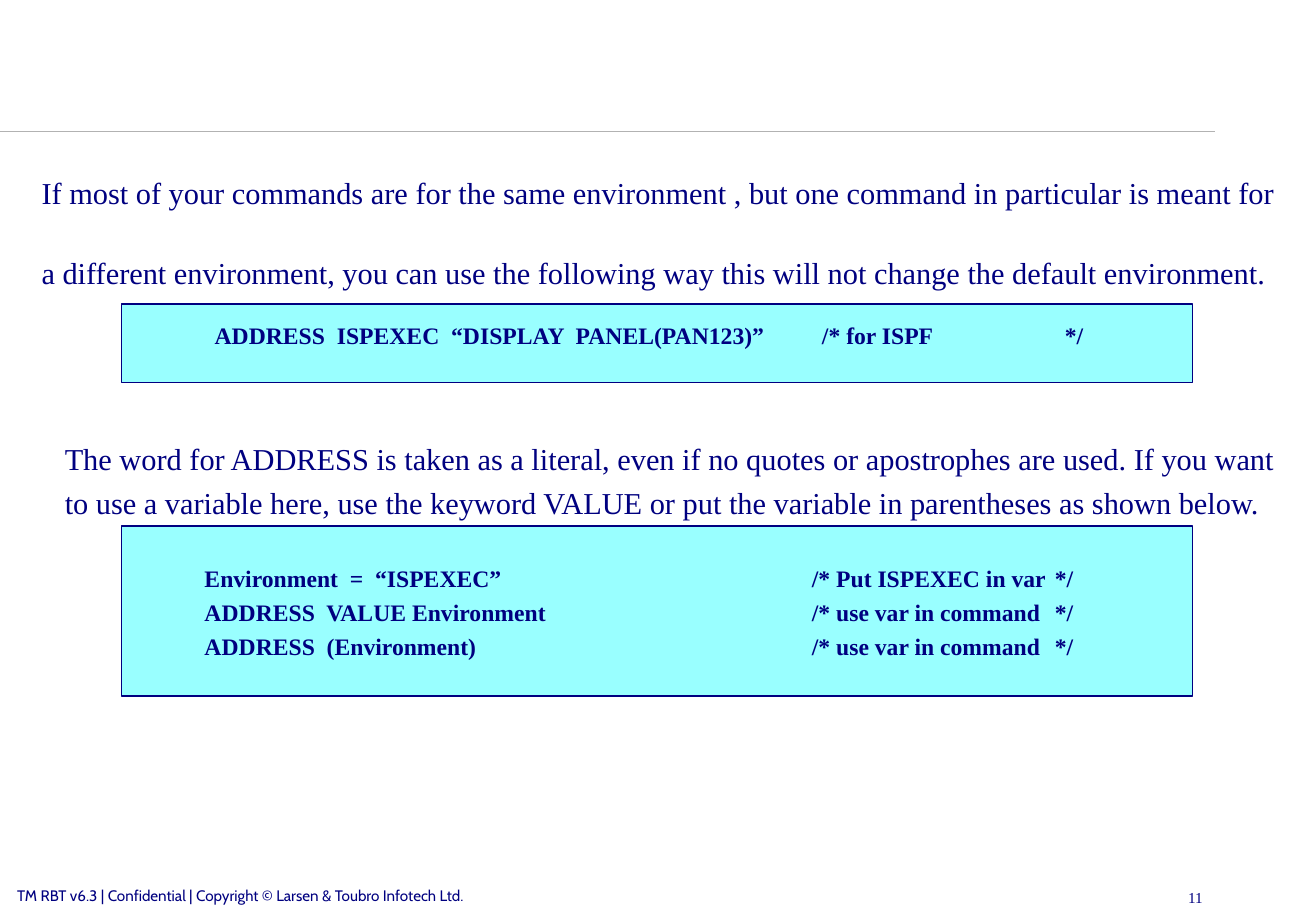
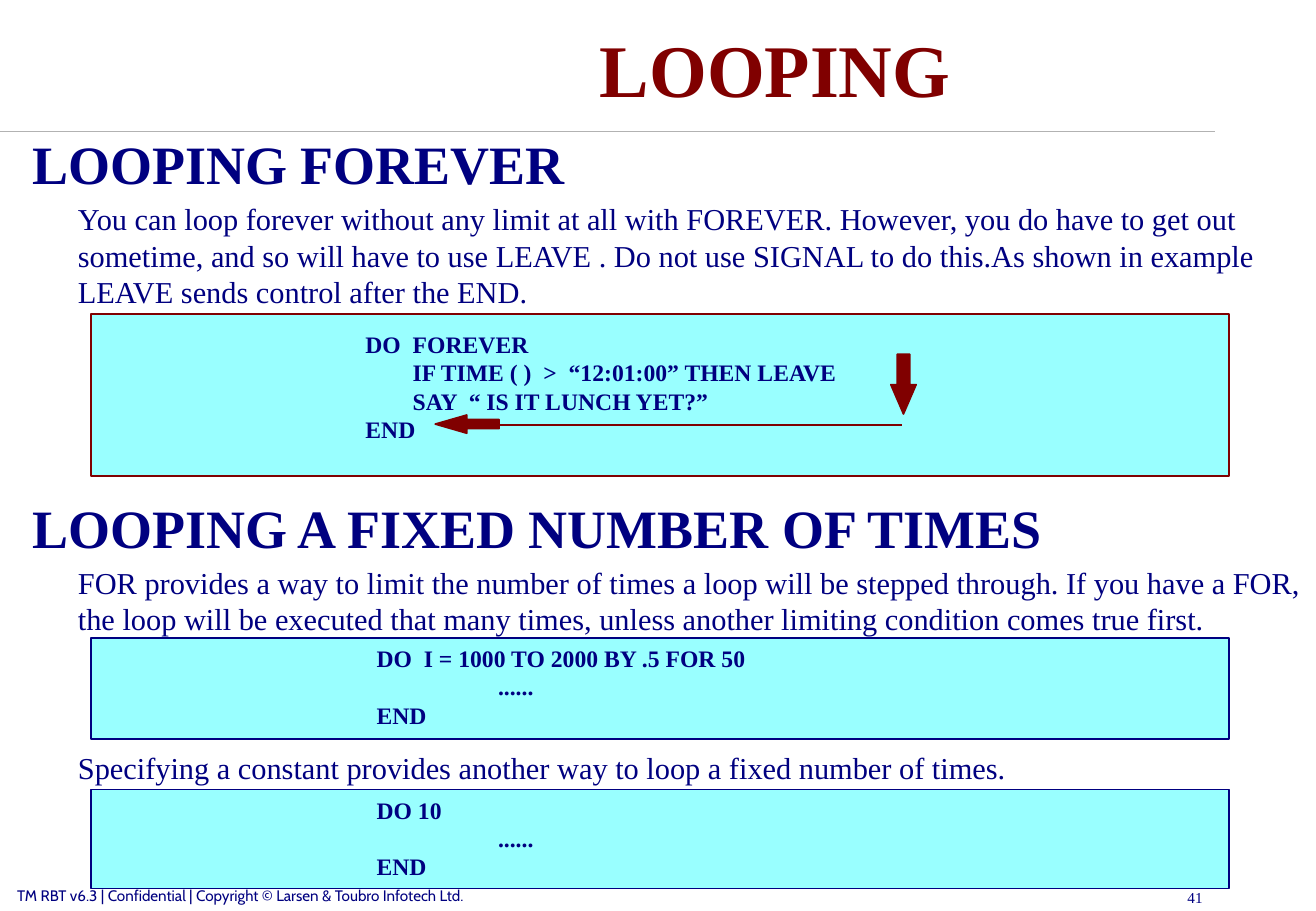
from lxml import etree
from pptx import Presentation, util as u
from pptx.dml.color import RGBColor
from pptx.enum import shapes, text
from pptx.oxml.ns import qn

NAVY = RGBColor(0x00, 0x00, 0x80)
MAROON = RGBColor(0x80, 0x00, 0x00)
AQUA = RGBColor(0x99, 0xFF, 0xFF)
GRAY = RGBColor(0xB2, 0xB2, 0xB2)
SCALE = 7620
INCH = 120
SERIF = "Times New Roman"
LEADING = 1.2
FOOTER = "TM RBT v6.3 | Confidential | Copyright © Larsen & Toubro Infotech Ltd."


def px(*nums):
    return [u.Emu(num * SCALE) for num in nums]


class Deck:
    base = {"name": SERIF, "size": 18, "bold": False, "color": NAVY}

    def __init__(self):
        self.prs = Presentation()
        self.prs.slide_width, self.prs.slide_height = px(1300, 900)

    def page(self, number):
        self.slide = self.prs.slides.add_slide(self.prs.slide_layouts[6])
        self.line(0, 130, 1200, 130, GRAY)
        self.label(17, 876, 541, [FOOTER], size=9, name="Cabin")
        self.label(920, 878, 268, [number], text.PP_ALIGN.RIGHT, size=9)

    def line(self, x1, y1, x2, y2, color):
        rule = self.slide.shapes.add_connector(
            shapes.MSO_CONNECTOR.STRAIGHT, *px(x1, y1, x2, y2))
        rule.line.color.rgb = color
        rule.line.width = u.Pt(1)
        etree.SubElement(rule._element.spPr, qn("a:effectLst"))

    def label(self, x, y, width, lines, align=text.PP_ALIGN.LEFT, pitch=None,
              gap=0, tabs=(), **style):
        style = {**self.base, **style}
        pitch = pitch or style["size"] * LEADING
        high = round(len(lines) * (pitch + gap) / 0.6)
        frame = self.slide.shapes.add_textbox(*px(x, y, width, high)).text_frame
        margins = ("margin_left", "margin_top", "margin_right", "margin_bottom")
        for key, value in {"word_wrap": True, **dict.fromkeys(margins, 0)}.items():
            setattr(frame, key, value)
        for i, words in enumerate(lines):
            para = frame.add_paragraph() if i else frame.paragraphs[0]
            self.stops(para, tabs)
            form = {"alignment": align, "line_spacing": u.Pt(pitch),
                    "space_before": u.Pt(gap if i else 0)}
            for key, value in form.items():
                setattr(para, key, value)
            run = para.add_run()
            run.text = words
            run.font.color.rgb = style["color"]
            look = {"name": style["name"], "size": u.Pt(style["size"]),
                    "bold": style["bold"]}
            for key, value in look.items():
                setattr(run.font, key, value)

    def stops(self, para, tabs):
        if tabs:
            group = etree.SubElement(para._p.get_or_add_pPr(), qn("a:tabLst"))
            for stop in tabs:
                etree.SubElement(group, qn("a:tab"),
                                 pos=str(stop * INCH * SCALE), algn="l")

    def title(self, words):
        self.label(330, 23, 872, [words], text.PP_ALIGN.CENTER,
                   size=44, bold=True, color=MAROON)

    def head(self, y, words):
        self.label(32, y, 1250, [words], size=32, bold=True)

    def body(self, y, words):
        self.label(77, y, 1212, [words])

    def shape(self, kind, box, fill, edge, adjust=()):
        form = self.slide.shapes.add_shape(kind, *px(*box))
        form.shadow.inherit = False
        form.fill.solid()
        form.fill.fore_color.rgb = fill
        form.line.color.rgb = edge
        form.line.width = u.Pt(1)
        for i, value in enumerate(adjust):
            form.adjustments[i] = value

    def code(self, box, x, y, lines, gap=0, edge=NAVY):
        self.shape(shapes.MSO_SHAPE.RECTANGLE, box, AQUA, edge)
        self.label(x, y, 880, lines, gap=gap, tabs=(1, 5, 7), size=14, bold=True)


def address(deck):
    deck.page("11")
    deck.label(41, 129, 1228, [
        "If most of your commands are for the same environment , but one command "
        "in particular is meant for a different environment, you can use the "
        "following way this will not change the default environment."], pitch=47.4)
    deck.code((120, 300, 1058, 78), 212, 317, [
        "ADDRESS  ISPEXEC  “DISPLAY  PANEL(PAN123)”\t/* for ISPF\t*/"])
    deck.label(64, 427, 1205, [
        "The word for ADDRESS is taken as a literal, even if no quotes or "
        "apostrophes are used. If you want to use a variable here, use the keyword "
        "VALUE or put the variable in parentheses as shown below."], pitch=26.1)
    deck.code((120, 520, 1058, 168), 202, 557, [
        "Environment  =  “ISPEXEC”\t/* Put ISPEXEC in var\t*/",
        "ADDRESS  VALUE Environment\t/* use var in command\t*/",
        "ADDRESS  (Environment)\t/* use var in command\t*/"], gap=3.5)


def looping(deck):
    deck.page("41")
    deck.title("LOOPING")
    deck.head(129, "LOOPING FOREVER")
    deck.body(198, "You can loop forever without any limit at all with FOREVER. "
              "However, you do have to get out sometime, and so will have to use "
              "LEAVE . Do not use SIGNAL to do this.As shown in example LEAVE sends "
              "control after the END.")
    deck.code((90, 310, 1124, 160), 361, 326, [
        "DO  FOREVER",
        "        IF TIME ( )  >  “12:01:00” THEN LEAVE",
        "        SAY  “ IS IT LUNCH YET?”",
        "END"], edge=MAROON)
    deck.line(891, 420, 480, 420, MAROON)
    deck.shape(shapes.MSO_SHAPE.DOWN_ARROW, (880, 350, 25, 59),
               MAROON, MAROON, (0.5, 1.16))
    deck.shape(shapes.MSO_SHAPE.LEFT_ARROW, (430, 410, 63, 18),
               MAROON, MAROON, (0.5, 1.73))
    deck.head(489, "LOOPING A FIXED NUMBER OF TIMES")
    deck.body(557, "FOR provides a way to limit the number of times a loop will be "
              "stepped through. If you have a FOR, the loop will be executed that "
              "many times, unless another limiting condition comes true first.")
    deck.body(740, "Specifying a constant provides another way to loop a fixed "
              "number of times.")
    for y, high, start in ((630, 100, "DO  I = 1000 TO 2000 BY .5 FOR 50"),
                           (780, 98, "DO 10")):
        deck.code((90, y, 1124, high), 372, y + 6, [start, "\t......", "END"])


def main():
    deck = Deck()
    address(deck)
    looping(deck)
    deck.prs.save("out.pptx")


if __name__ == "__main__":
    main()
